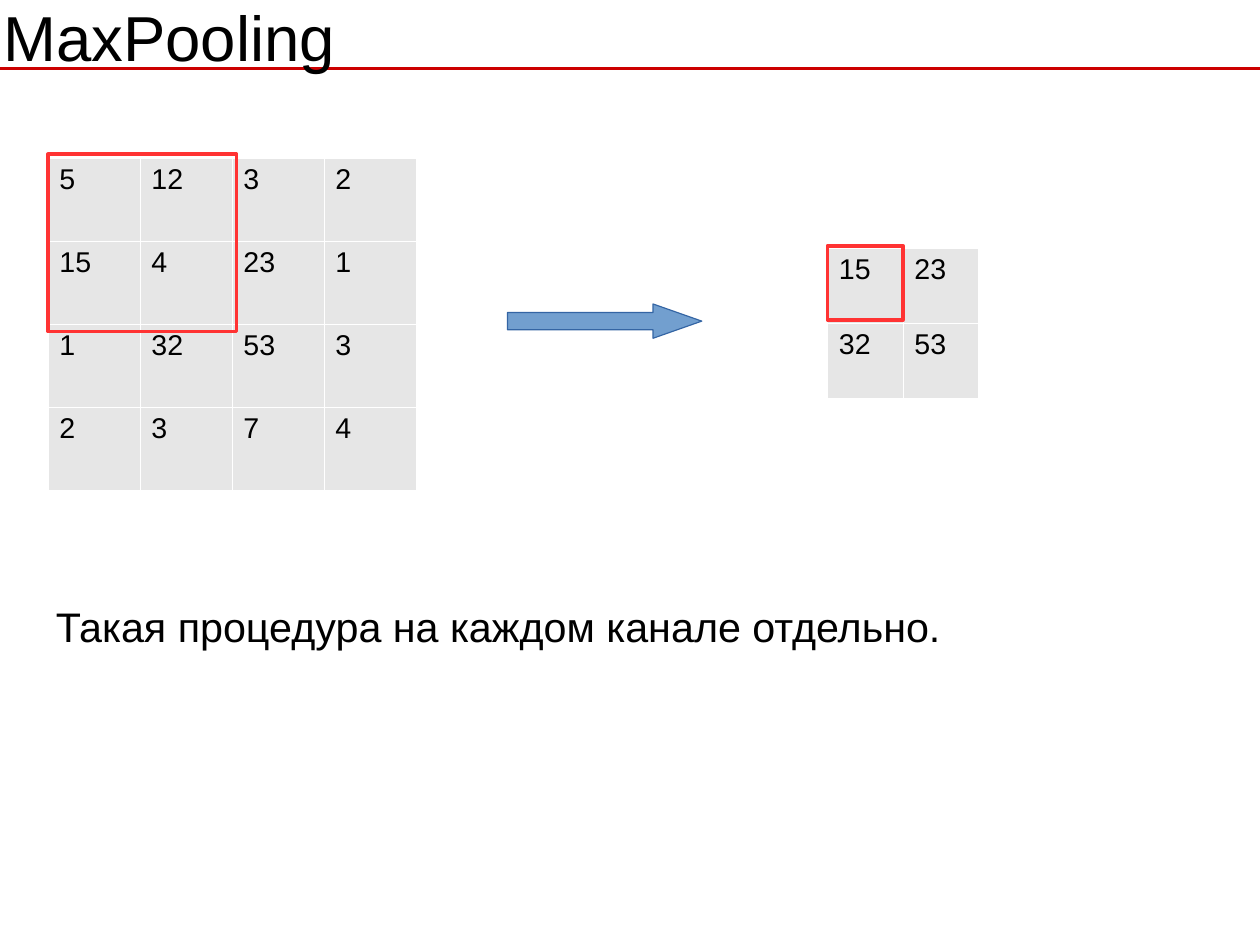
from lxml.etree import SubElement
from pptx import Presentation
from pptx.dml.color import RGBColor
from pptx.enum.shapes import MSO_CONNECTOR, MSO_SHAPE
from pptx.enum.text import MSO_ANCHOR
from pptx.oxml.ns import qn
from pptx.util import Inches, Mm, Pt

WIDTH, HEIGHT = Mm(280), Mm(210)
BLACK = RGBColor(0x00, 0x00, 0x00)
RULE_RED = RGBColor(0xCC, 0x00, 0x00)
WINDOW_RED = RGBColor(0xFF, 0x33, 0x33)
CELL_GREY = RGBColor(0xE6, 0xE6, 0xE6)
ARROW_BLUE = RGBColor(0x72, 0x9F, 0xCF)
ARROW_EDGE = RGBColor(0x34, 0x65, 0xA4)

INPUT = [[5, 12, 3, 2], [15, 4, 23, 1], [1, 32, 53, 3], [2, 3, 7, 4]]
POOLED = [[15, 23], [32, 53]]
MARGINS = ("margin_left", "margin_top", "margin_right", "margin_bottom")


def inches(*values):
    return [Inches(v) for v in values]


def write(tf, text, size):
    r = tf.paragraphs[0].add_run()
    r.text = text
    for name, value in {"name": "Arial", "size": Pt(size)}.items():
        setattr(r.font, name, value)
    r.font.color.rgb = BLACK


def add_text(s, box, text, size, insets, anchor=MSO_ANCHOR.TOP):
    tf = s.shapes.add_textbox(*inches(*box)).text_frame
    fmt = {"word_wrap": True, "vertical_anchor": anchor}
    fmt.update(zip(MARGINS, inches(*insets)))
    for name, value in fmt.items():
        setattr(tf, name, value)
    write(tf, text, size)


def add_header(s, title):
    # Red rule across the slide, title sitting on it
    y = Inches(0.6)
    rule = s.shapes.add_connector(MSO_CONNECTOR.STRAIGHT, 0, y, WIDTH, y)
    rule.line.color.rgb = RULE_RED
    rule.line.width = Pt(1.5)
    SubElement(rule._element.spPr, qn("a:effectLst"))
    add_text(s, (0.03, 0, 8.47, 0.63), title, 40, (0, 0, 0, 0), MSO_ANCHOR.MIDDLE)


def set_borders(cell):
    tcPr = cell._tc.get_or_add_tcPr()
    for side in ("a:lnL", "a:lnR", "a:lnT", "a:lnB"):
        ln = SubElement(tcPr, qn(side), w="720")
        fill = SubElement(ln, qn("a:solidFill"))
        SubElement(fill, qn("a:srgbClr"), val="FFFFFF")


def add_matrix(s, box, values):
    rows, cols = len(values), len(values[0])
    table = s.shapes.add_table(rows, cols, *inches(*box)).table
    table.first_row = table.horz_banding = False
    for col in table.columns:
        col.width = Inches(box[2] / cols)
    for row, numbers in zip(table.rows, values):
        row.height = Inches(box[3] / rows)
        for cell, number in zip(row.cells, numbers):
            set_borders(cell)
            cell.fill.solid()
            cell.fill.fore_color.rgb = CELL_GREY
            write(cell.text_frame, str(number), 18)


def add_arrow(s, box):
    sp = s.shapes.add_shape(MSO_SHAPE.RIGHT_ARROW, *inches(*box))
    sp.shadow.inherit = False
    sp.adjustments[1] = 1.42
    sp.fill.solid()
    sp.fill.fore_color.rgb = ARROW_BLUE
    sp.line.color.rgb = ARROW_EDGE
    sp.line.width = Pt(0)


def add_window(s, box):
    sp = s.shapes.add_shape(MSO_SHAPE.RECTANGLE, *inches(*box))
    sp.shadow.inherit = False
    sp.fill.background()
    sp.line.color.rgb = WINDOW_RED
    sp.line.width = Pt(2.3)
    SubElement(sp.line._get_or_add_ln(), qn("a:round"))


def add_pooling(s):
    # Input matrix, arrow, pooled matrix
    add_matrix(s, (0.42, 1.38, 3.22, 2.91), INPUT)
    add_arrow(s, (4.44, 2.66, 1.7, 0.3))
    add_matrix(s, (7.24, 2.17, 1.32, 1.31), POOLED)
    # Pooling window and its result
    add_window(s, (0.42, 1.35, 1.65, 1.55))
    add_window(s, (7.24, 2.15, 0.66, 0.65))


def main():
    prs = Presentation()
    prs.slide_width = WIDTH
    prs.slide_height = HEIGHT
    s = prs.slides.add_slide(prs.slide_layouts[6])
    add_header(s, "MaxPooling")
    add_pooling(s)
    # Remark under the diagram
    add_text(s, (0.39, 5.21, 8.6, 0.91), "Такая процедура на каждом канале отдельно.",
             26, (0.1, 0.05, 0.1, 0.05))
    prs.save("out.pptx")


if __name__ == "__main__":
    main()
